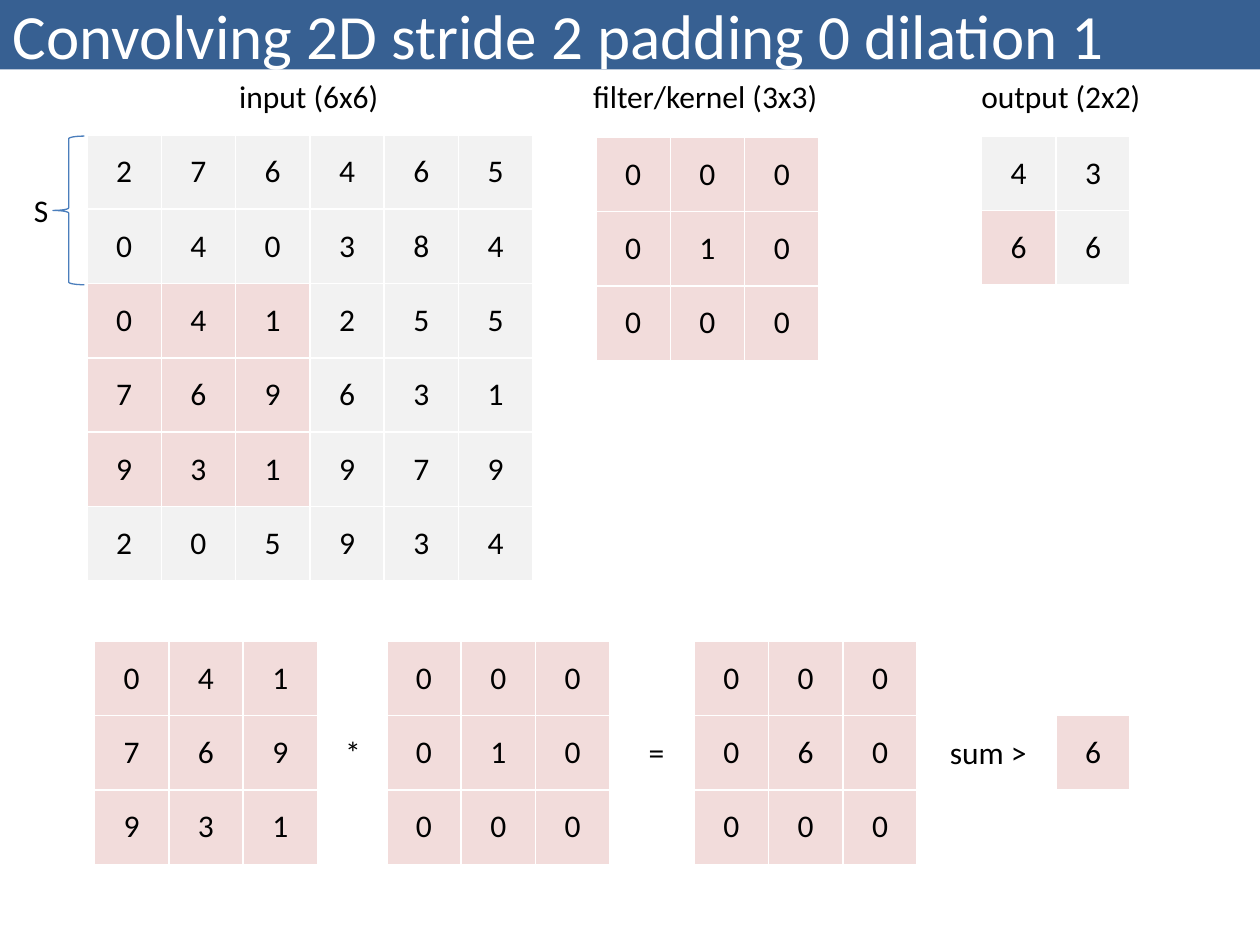
import pptx
import pptx.util
import pptx.dml.color
import pptx.enum.shapes
import pptx.enum.text
from lxml import etree
from pptx.oxml.ns import qn

Inches = pptx.util.Inches
ANCHOR = pptx.enum.text.MSO_ANCHOR
ALIGN = pptx.enum.text.PP_ALIGN
AUTO_SIZE = pptx.enum.text.MSO_AUTO_SIZE

# Content
TITLE = "Convolving 2D stride 2 padding 0 dilation 1"
INPUT = [
    [2, 7, 6, 4, 6, 5],
    [0, 4, 0, 3, 8, 4],
    [0, 4, 1, 2, 5, 5],
    [7, 6, 9, 6, 3, 1],
    [9, 3, 1, 9, 7, 9],
    [2, 0, 5, 9, 3, 4],
]
KERNEL = [[0, 0, 0], [0, 1, 0], [0, 0, 0]]
STRIDE = 2
STEP = (1, 0)  # row and column of the output cell being worked out
LABELS = [  # text, left, top, width
    ("input (6x6)", 1.8, 0.56, 1.32),
    ("filter/kernel (3x3)", 4.61, 0.56, 2),
    ("output (2x2)", 7.69, 0.56, 1.48),
    ("S", 0.17, 1.47, 0.33),
    ("*", 2.64, 5.77, 0.33),
    ("=", 5.05, 5.77, 0.33),
    ("sum >", 7.44, 5.77, 0.82),
]

THEME = {
    "font": "Calibri", "title_size": 36, "text_size": 18,
    "banner": "376092", "title": "FFFFFF", "text": "000000",
    "cell": "F2F2F2", "active": "F2DCDB", "border": "FFFFFF", "brace": "4B7EBC",
}
CELL = 0.59
LABEL_HEIGHT = 0.4

# The convolution itself
size = len(KERNEL)
window = [(STEP[0] * STRIDE + r, STEP[1] * STRIDE + c)
          for r in range(size) for c in range(size)]


def patch_at(row, col):
    top, left = row * STRIDE, col * STRIDE
    return [line[left:left + size] for line in INPUT[top:top + size]]


def multiply(patch):
    return [[a * b for a, b in zip(*rows)] for rows in zip(patch, KERNEL)]


def total(grid):
    return sum(map(sum, grid))


patch = patch_at(*STEP)
product = multiply(patch)
steps = (len(INPUT) - size) // STRIDE + 1
output = [[total(multiply(patch_at(r, c))) for c in range(steps)] for r in range(steps)]

GRIDS = [  # values, left, top, active cells (None: all)
    (INPUT, 0.69, 1.07, window),
    (KERNEL, 4.73, 1.09, None),
    (output, 7.79, 1.08, [STEP]),
    (patch, 0.75, 5.09, None),
    (KERNEL, 3.07, 5.09, None),
    (product, 5.51, 5.09, None),
    ([[total(product)]], 8.38, 5.09 + CELL, None),
]


def color(role):
    return pptx.dml.color.RGBColor.from_string(THEME[role])


def apply(target, values):
    for key, value in values.items():
        setattr(target, key, value)


def write(frame, text, role="text", align=ALIGN.LEFT):
    paragraph = frame.paragraphs[0]
    paragraph.alignment = align
    run = paragraph.add_run()
    run.text = str(text)
    apply(run.font, {"name": THEME["font"], "size": pptx.util.Pt(THEME[role + "_size"])})
    run.font.color.rgb = color(role)


def add_borders(cell):
    properties = cell._tc.get_or_add_tcPr()
    for side in ("lnL", "lnR", "lnT", "lnB"):
        line = etree.SubElement(properties, qn("a:" + side), w=str(pptx.util.Pt(1)))
        fill = etree.SubElement(line, qn("a:solidFill"))
        etree.SubElement(fill, qn("a:srgbClr"), val=THEME["border"])


def add_grid(slide, values, left, top, active):
    rows, cols = len(values), len(values[0])
    grid = slide.shapes.add_table(rows, cols, Inches(left), Inches(top),
                                  Inches(cols * CELL), Inches(rows * CELL)).table
    apply(grid, {"first_row": False, "horz_banding": False})
    for column in grid.columns:
        column.width = Inches(CELL)
    for r, line in enumerate(values):
        grid.rows[r].height = Inches(CELL)
        for c, value in enumerate(line):
            cell = grid.cell(r, c)
            add_borders(cell)
            cell.vertical_anchor = ANCHOR.MIDDLE
            cell.fill.solid()
            is_active = active is None or (r, c) in active
            cell.fill.fore_color.rgb = color("active" if is_active else "cell")
            write(cell.text_frame, value, align=ALIGN.CENTER)


def main():
    deck = pptx.Presentation()
    apply(deck, {"slide_width": Inches(10), "slide_height": Inches(7.5)})
    slide = deck.slides.add_slide(deck.slide_layouts[5])

    # Title banner
    banner = slide.shapes.title
    apply(banner, {"left": 0, "top": 0, "width": Inches(10), "height": Inches(0.55)})
    banner.fill.solid()
    banner.fill.fore_color.rgb = color("banner")
    apply(banner.text_frame, {"vertical_anchor": ANCHOR.MIDDLE, "word_wrap": True,
                              "auto_size": AUTO_SIZE.NONE})
    write(banner.text_frame, TITLE, "title")

    # Number grids
    for grid in GRIDS:
        add_grid(slide, *grid)

    # Brace over one stride
    brace = slide.shapes.add_shape(pptx.enum.shapes.MSO_SHAPE.RIGHT_BRACE, Inches(0.42),
                                   Inches(1.08), Inches(0.25), Inches(STRIDE * CELL))
    brace.rotation = 180
    brace.shadow.inherit = False
    brace.fill.background()
    brace.line.color.rgb = color("brace")
    brace.line.width = pptx.util.Pt(0.75)

    # Headings and operators
    for text, left, top, width in LABELS:
        label = slide.shapes.add_textbox(Inches(left), Inches(top), Inches(width),
                                         Inches(LABEL_HEIGHT))
        apply(label.text_frame, {"word_wrap": False,
                                 "auto_size": AUTO_SIZE.SHAPE_TO_FIT_TEXT})
        write(label.text_frame, text)

    deck.save("out.pptx")


if __name__ == "__main__":
    main()
